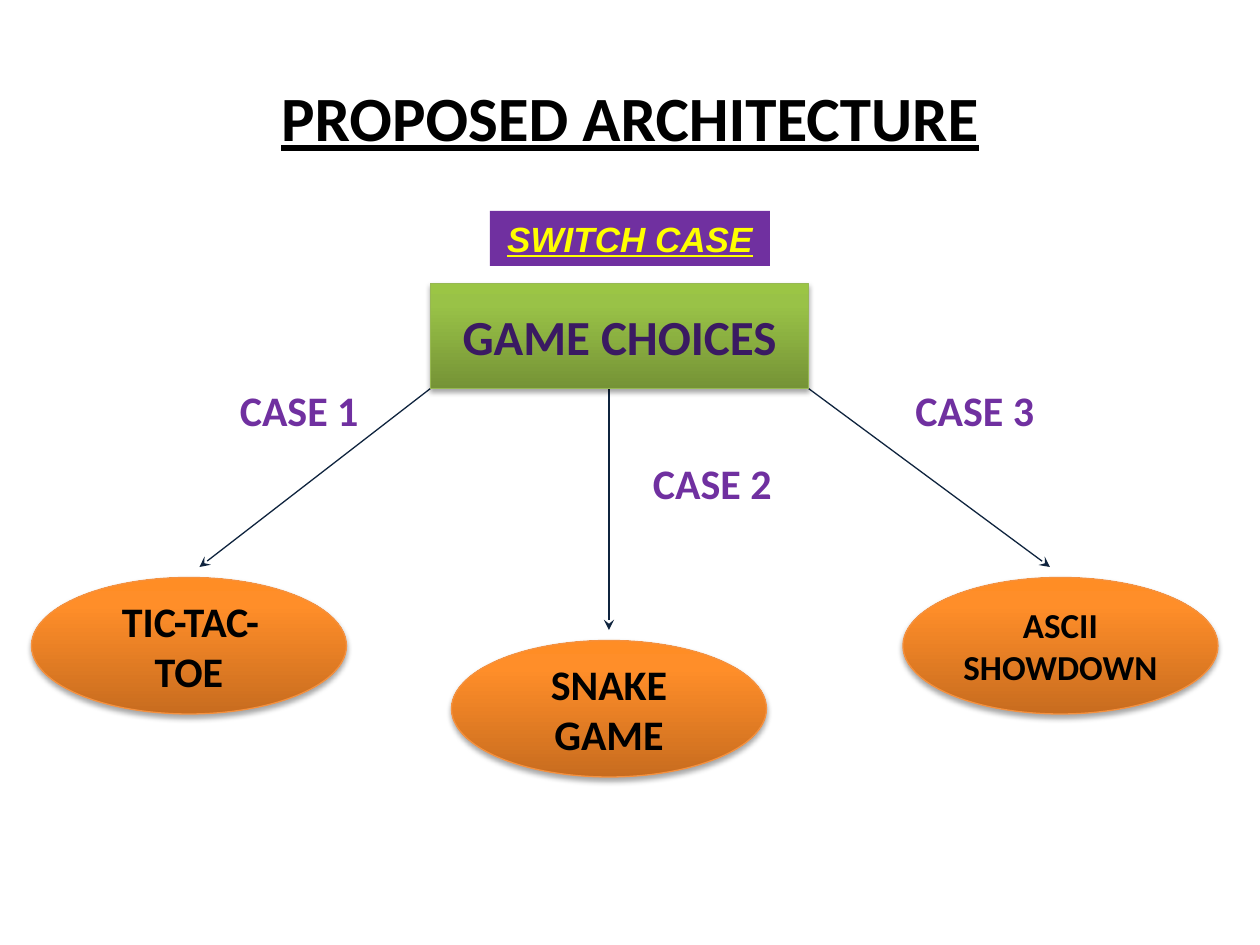
from copy import deepcopy

from lxml import etree
from pptx import Presentation
from pptx import util as u
from pptx.dml import color as dml
from pptx.enum import shapes, text
from pptx.oxml import ns

Pt = u.Pt
LEFT, CENTER = text.PP_ALIGN.LEFT, text.PP_ALIGN.CENTER
TOP, MIDDLE = text.MSO_ANCHOR.TOP, text.MSO_ANCHOR.MIDDLE


def rgb(value):
    return dml.RGBColor.from_string(value)


def write(shape, words, size=24, color="000000", font="Calibri", align=CENTER,
          anchor=MIDDLE, italic=False, underline=False):
    frame = shape.text_frame
    frame.word_wrap = True
    frame.vertical_anchor = anchor
    paragraph = frame.paragraphs[0]
    paragraph.alignment = align
    run = paragraph.add_run()
    run.text = words
    run.font.name = font
    run.font.size = Pt(size)
    run.font.bold = True
    run.font.italic = italic
    run.font.underline = underline
    run.font.color.rgb = rgb(color)


deck = Presentation()
deck.slide_width, deck.slide_height = Pt(720), Pt(540)
slide = deck.slides.add_slide(deck.slide_layouts[5])

title = slide.shapes.title
title.left, title.top, title.width, title.height = Pt(36), Pt(21.6), Pt(648), Pt(90)
write(title, "PROPOSED ARCHITECTURE", size=36, underline=True)

arrows = [
    (246, 222, 114, 324),
    (348, 222, 348, 360),
    (462, 222, 600, 324),
]
for x1, y1, x2, y2 in arrows:
    arrow = slide.shapes.add_connector(
        shapes.MSO_CONNECTOR.STRAIGHT, Pt(x1), Pt(y1), Pt(x2), Pt(y2))
    arrow.line.color.rgb = rgb("0F243E")
    arrow.line.width = Pt(0.75)
    etree.SubElement(arrow.line._get_or_add_ln(), ns.qn("a:tailEnd"), type="stealth")
    etree.SubElement(arrow._element.spPr, ns.qn("a:effectLst"))

RECT, OVAL = shapes.MSO_SHAPE.RECTANGLE, shapes.MSO_SHAPE.OVAL
green = ("759336", "99C247", "9BC545"), "97B853"
orange = ("C86C1F", "FF8E29", "FF8D25"), "F5913F"
nodes = [
    ("GAME CHOICES", RECT, 246, 162, 216, 60, green, 28, "3A1A62"),
    ("TIC-TAC-TOE", OVAL, 18, 330, 180, 78, orange, 24, "000000"),
    ("ASCII SHOWDOWN", OVAL, 516, 330, 180, 78, orange, 20, "000000"),
    ("SNAKE GAME", OVAL, 258, 366, 180, 78, orange, 24, "000000"),
]
for words, kind, x, y, w, h, (shades, outline), size, ink in nodes:
    node = slide.shapes.add_shape(kind, Pt(x), Pt(y), Pt(w), Pt(h))
    node.fill.gradient()
    node.fill.gradient_angle = 90
    stop_list = node._element.spPr.find(".//" + ns.qn("a:gsLst"))
    stop_list.append(deepcopy(stop_list[-1]))
    for stop, position, shade in zip(node.fill.gradient_stops, (0, 0.8, 1), shades):
        stop.position = position
        stop.color.rgb = rgb(shade)
    node.line.color.rgb = rgb(outline)
    node.line.width = Pt(0.75)
    node.shadow.inherit = False
    effects = node._element.spPr.find(ns.qn("a:effectLst"))
    shadow = etree.SubElement(
        effects, ns.qn("a:outerShdw"), blurRad=str(Pt(3.1)), dist=str(Pt(1.8)),
        dir="5400000", rotWithShape="0")
    shadow_color = etree.SubElement(shadow, ns.qn("a:srgbClr"), val="000000")
    etree.SubElement(shadow_color, ns.qn("a:alpha"), val="35000")
    write(node, words, size=size, color=ink)

cases = [
    ("CASE 1", 120, 216, 102, CENTER),
    ("CASE 2", 366, 258, 96, LEFT),
    ("CASE 3", 516, 216, 96, LEFT),
]
for words, x, y, w, align in cases:
    case = slide.shapes.add_textbox(Pt(x), Pt(y), Pt(w), Pt(36))
    write(case, words, color="7030A0", align=align, anchor=TOP)

switch = slide.shapes.add_textbox(Pt(280), Pt(120.5), Pt(160), Pt(31.5))
switch.fill.solid()
switch.fill.fore_color.rgb = rgb("7030A0")
write(switch, "SWITCH CASE", size=20, color="FFFF00", font="Arial", anchor=TOP,
      italic=True, underline=True)
switch.text_frame.auto_size = text.MSO_AUTO_SIZE.SHAPE_TO_FIT_TEXT

deck.save("out.pptx")
